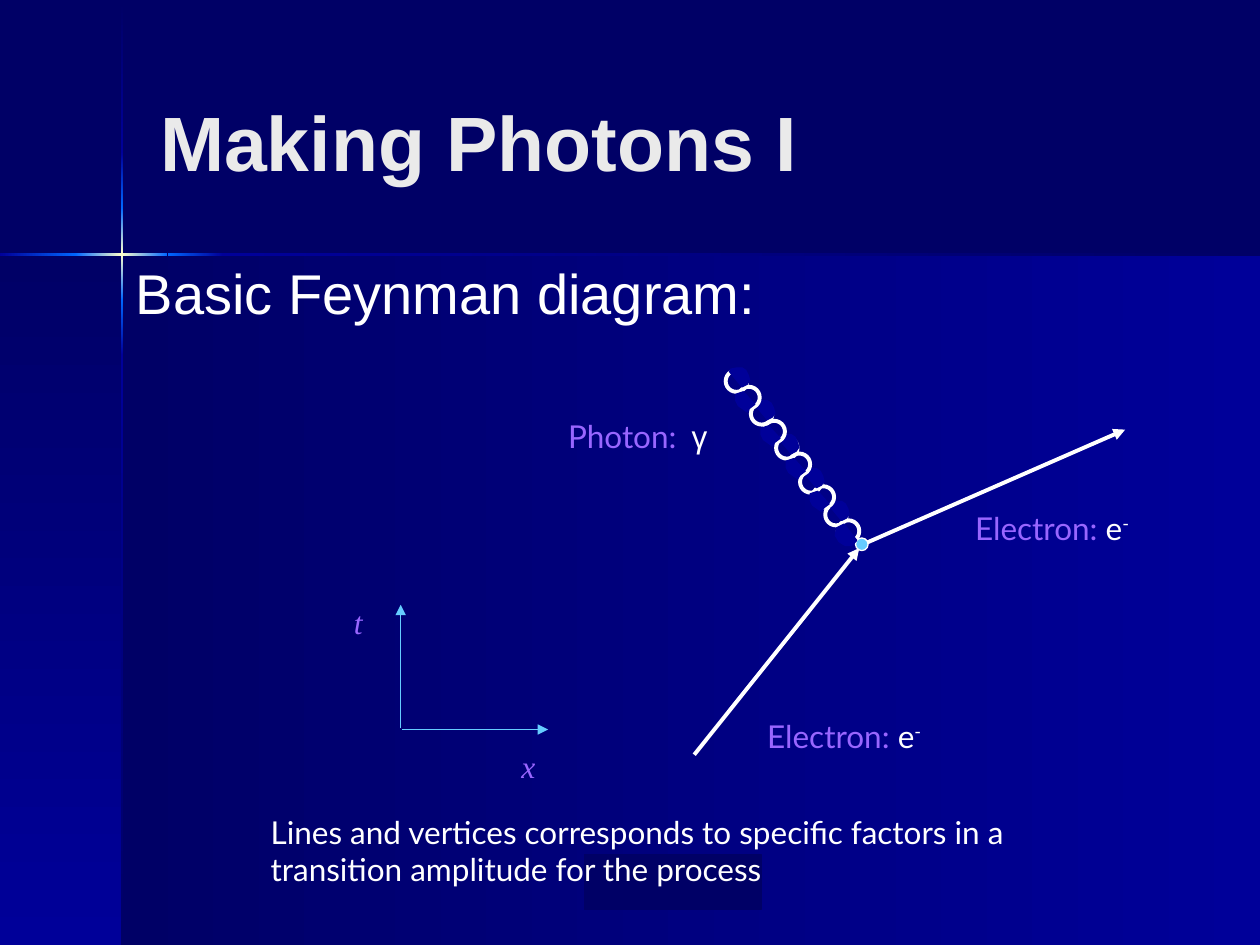
import lxml.etree
import pptx
import pptx.dml.color
import pptx.enum.shapes
import pptx.enum.text
import pptx.oxml.ns
import pptx.util

PX = 9144  # EMU in one px: 100 px to the inch
COLORS = {
    "night": "000066", "navy": "000099", "blue": "0066FF", "glow": "FFFFCC",
    "sky": "66CCFF", "violet": "9966FF", "white": "FFFFFF", "pale": "EAEAEA",
}
SHAPES = pptx.enum.shapes.MSO_SHAPE
FIT = pptx.enum.text.MSO_AUTO_SIZE


def rgb(name):
    return pptx.dml.color.RGBColor.from_string(COLORS[name])


def add_xml(parent, tag, **attributes):
    return lxml.etree.SubElement(parent, pptx.oxml.ns.qn(tag), attributes)


class SlideBuilder:
    def __init__(self, width, height):
        self.deck = pptx.Presentation()
        self.deck.slide_width, self.deck.slide_height = width * PX, height * PX
        self.page = self.deck.slides.add_slide(self.deck.slide_layouts[5])

    def background(self, color):
        fill = self.page.background.fill
        fill.solid()
        fill.fore_color.rgb = rgb(color)

    def paint(self, shape, fill, line, weight):
        shape.shadow.inherit = False
        for color, target in ((fill, shape.fill), (line, shape.line.fill)):
            if color:
                target.solid()
                target.fore_color.rgb = rgb(color)
            else:
                target.background()
        if line:
            shape.line.width = pptx.util.Pt(weight)

    def shape(self, kind, place, fill=None, line=None, weight=0.75):
        shape = self.page.shapes.add_shape(kind, *(value * PX for value in place))
        self.paint(shape, fill, line, weight)
        return shape

    def band(self, place, angle, *colors):
        """Rectangle with evenly spaced gradient colours, angle clockwise."""
        shape = self.shape(SHAPES.RECTANGLE, place)
        shape.fill.gradient()
        gradient = shape._element.spPr.find(pptx.oxml.ns.qn("a:gradFill"))
        for child in list(gradient):
            gradient.remove(child)
        stops = add_xml(gradient, "a:gsLst")
        for index, color in enumerate(colors):
            position = 100000 * index // (len(colors) - 1)
            stop = add_xml(stops, "a:gs", pos=str(position))
            add_xml(stop, "a:srgbClr", val=COLORS[color])
        add_xml(gradient, "a:lin", ang=str(angle * 60000), scaled="0")

    def outline(self, left, top, points, color):
        """Closed polygon from points relative to left and top."""
        corners = [(left + x, top + y) for x, y in points]
        builder = self.page.shapes.build_freeform(*corners[0], scale=PX)
        builder.add_line_segments(corners[1:], close=True)
        self.paint(builder.convert_to_shape(), color, color, 0.75)

    def arrow(self, start, end, color, weight):
        line = self.page.shapes.add_connector(
            pptx.enum.shapes.MSO_CONNECTOR.STRAIGHT,
            *(value * PX for value in start + end))
        line.line.color.rgb = rgb(color)
        line.line.width = pptx.util.Pt(weight)
        add_xml(line.line._get_or_add_ln(), "a:tailEnd", type="triangle")
        add_xml(line._element.spPr, "a:effectLst")

    def fill_text(self, box, spans, tab=None):
        """Fill a box with one paragraph of (text, colour, font format) spans."""
        frame = box.text_frame
        frame.word_wrap = True
        para = frame.paragraphs[0]
        para.alignment = pptx.enum.text.PP_ALIGN.LEFT
        if tab:
            tabs = add_xml(para._p.get_or_add_pPr(), "a:tabLst")
            add_xml(tabs, "a:tab", pos=str(tab * PX), algn="l")
        for text, color, style in spans:
            span = para.add_run()
            span.text = text
            span.font.color.rgb = rgb(color)
            for key, value in style.items():
                if key == "baseline":
                    span._r.get_or_add_rPr().set(key, str(value))
                else:
                    setattr(span.font, key, value)

    def title(self, place, spans):
        box = self.page.shapes.title
        box.left, box.top, box.width, box.height = (value * PX for value in place)
        box.text_frame.vertical_anchor = pptx.enum.text.MSO_ANCHOR.MIDDLE
        box.text_frame.auto_size = FIT.NONE
        self.fill_text(box, spans)

    def text(self, place, spans, fit=FIT.SHAPE_TO_FIT_TEXT, tab=None):
        box = self.page.shapes.add_textbox(*(value * PX for value in place))
        box.text_frame.auto_size = fit
        self.fill_text(box, spans, tab)


def font(name, size, **more):
    return {"name": name, "size": pptx.util.Pt(size), **more}


LABEL = font("Lato", 18)
AXIS = font("Times New Roman", 18, italic=True)
BANDS = [
    ((97, 202, 903, 548), 180, "navy", "night"),
    ((0, 202, 97, 548), 90, "night", "navy"),
    ((96, 1, 2, 120), 90, "night", "navy"),
    ((96, 282, 2, 468), 90, "navy", "night"),
    ((177, 201, 823, 2), 180, "night", "navy"),
    ((96, 238, 2, 44), 90, "blue", "navy"),
    ((96, 121, 2, 44), 90, "navy", "blue"),
    ((96, 165, 2, 73), 90, "blue", "glow", "blue"),
    ((0, 201, 61, 2), 180, "blue", "navy"),
    ((133, 201, 44, 2), 180, "navy", "blue"),
    ((60, 201, 73, 2), 180, "blue", "glow", "blue"),
]
VERTEX_MASK = [(17, 12), (7, -1), (1, 2), (0, 8), (3, 13), (8, 16), (13, 16)]
LOWER_MASK = [(15, 10), (6, 0), (0, 2), (0, 7), (2, 11), (9, 16), (11, 13)]
UPPER_MASK = [(14, 13), (10, 15), (0, 3), (1, 1), (6, 0), (10, 0), (13, 2),
              (15, 6), (16, 10)]


def draw_photon(slide, waves=5):
    """Chain of rings, each half hidden by a mask so that a wave remains."""
    for wave in range(waves):
        def along(x, y):
            return round(x - 19.75 * wave), round(y - 26.5 * wave)

        for ring in ((665, 413), (655, 400)):
            slide.shape(SHAPES.OVAL, (*along(*ring), 17, 17), None, "white", 2.25)
        lower = LOWER_MASK if wave else VERTEX_MASK
        slide.outline(*along(663, 417), lower, "navy")
        slide.outline(*along(658, 398), UPPER_MASK, "navy")


def main():
    slide = SlideBuilder(1000, 750)
    slide.background("night")
    for place, angle, *colors in BANDS:
        slide.band(place, angle, *colors)

    slide.title((117, 33, 825, 157),
                [("Making Photons I", "pale", font("Arial", 44, bold=True))])
    slide.text((98, 200, 825, 450),
               [("Basic Feynman diagram:", "white", font("Arial", 32))], FIT.NONE)
    slide.shape(SHAPES.RECTANGLE, (464, 678, 140, 44), "night", "night")
    slide.text((205, 640, 654, 70), [(
        "Lines and vertices corresponds to specific factors in a "
        "transition amplitude for the process", "white", LABEL)])

    slide.arrow((318, 578), (318, 480), "sky", 0.75)
    slide.arrow((319, 579), (435, 579), "sky", 0.75)
    for name, left, top in (("x", 404, 588), ("t", 271, 474)):
        slide.text((left, top, 50, 40), [(name, "violet", AXIS)])

    slide.arrow((551, 599), (682, 435), "white", 2.25)
    slide.arrow((685, 432), (893, 341), "white", 2.25)
    slide.text((441, 326, 142, 40), [("Photon:\t", "violet", LABEL),
                                     ("γ", "white", font("Arial", 18))], tab=98)
    for left, top in ((599, 564), (764, 399)):
        slide.text((left, top, 201, 40), [
            ("Electron:", "violet", LABEL), (" e", "white", LABEL),
            ("-", "white", {**LABEL, "baseline": 30000})])

    slide.shape(SHAPES.OVAL, (679, 427, 10, 10), "sky", "white")
    draw_photon(slide)
    slide.deck.save("out.pptx")


if __name__ == "__main__":
    main()
